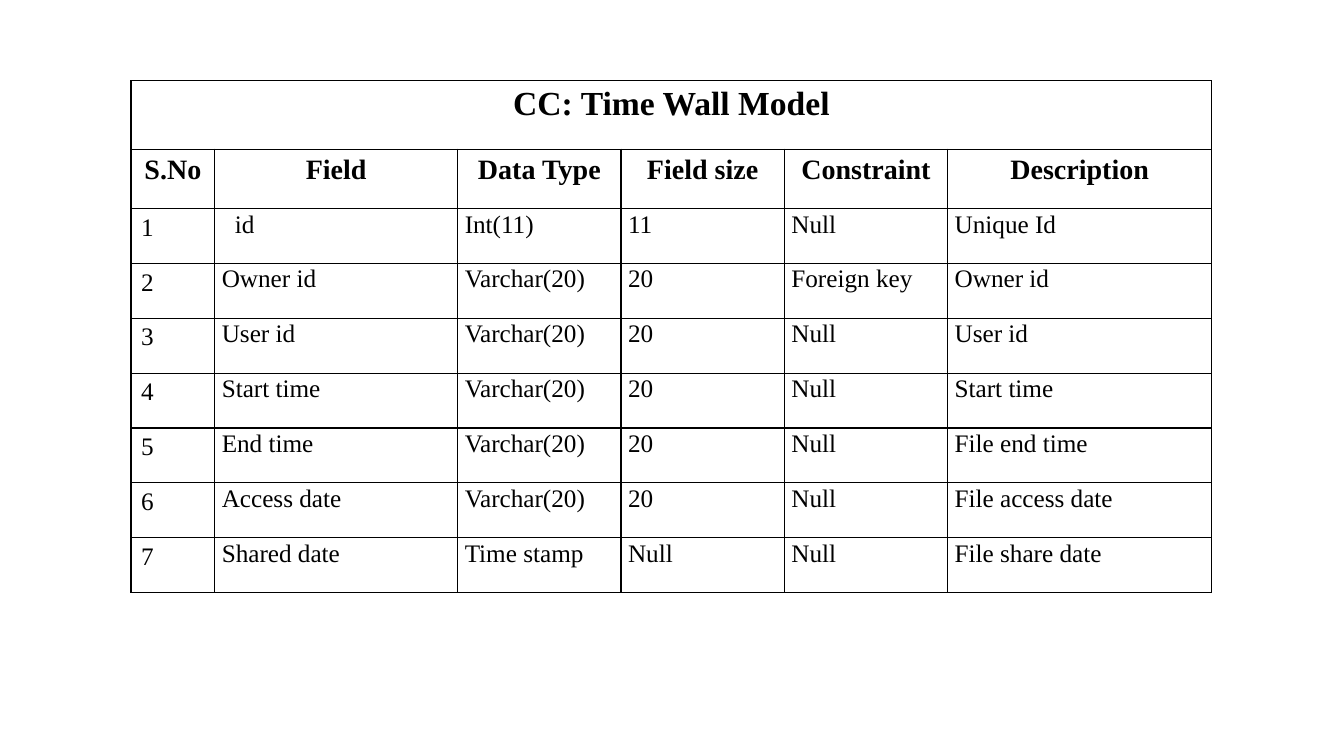
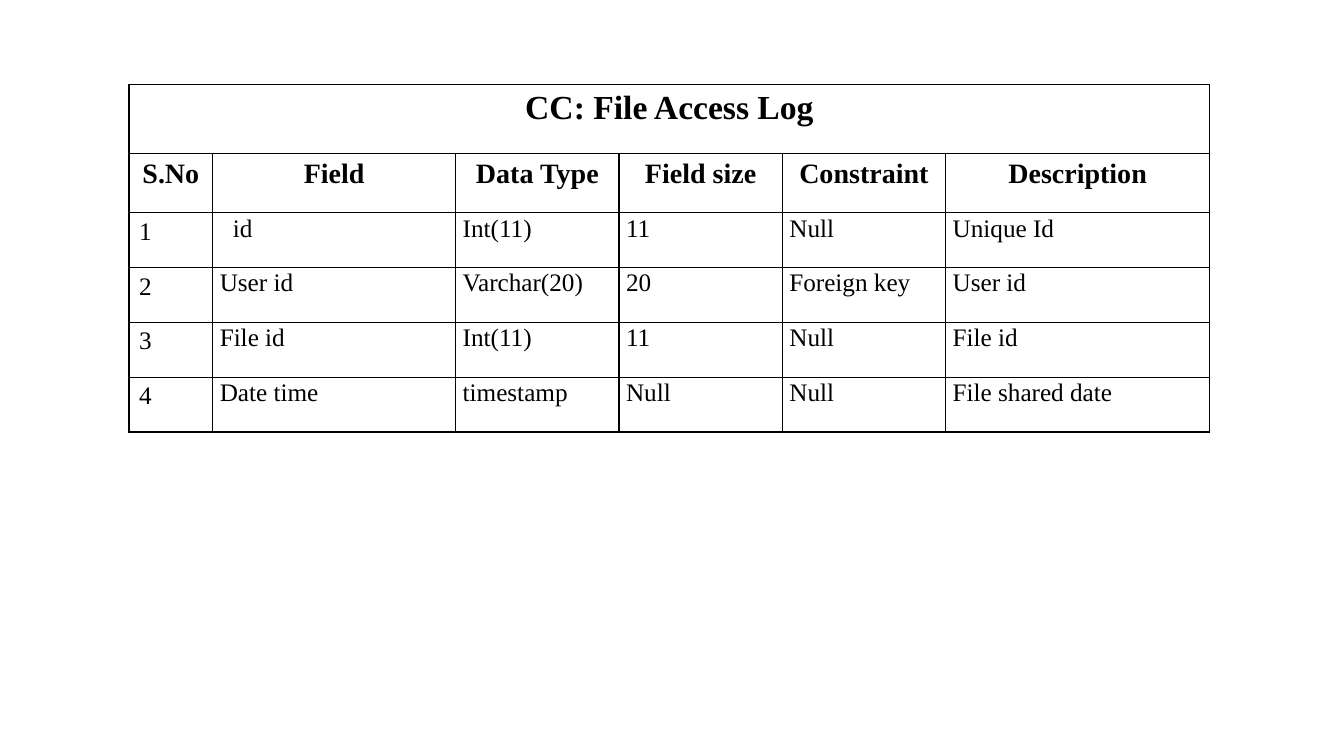
from dataclasses import dataclass

from lxml.etree import SubElement
from pptx import Presentation
from pptx.dml.color import RGBColor
from pptx.enum.text import PP_ALIGN as Align
from pptx.oxml.ns import qn
from pptx.slide import Slide
from pptx.table import _Cell as Cell
from pptx.util import Inches, Pt

FONT = "Times New Roman"
INK = "000000"
WIDTHS = (0.83, 2.41, 1.62, 1.62, 1.62, 2.62)
HEADS = ("S.No", "Field", "Data Type", "Field size", "Constraint", "Description")
TITLE_H = Inches(0.68)
HEAD_H = Inches(0.59)
BODY_H = Inches(3.81) // 7
PAD = 0.07
INDENT = 0.13


@dataclass(frozen=True)
class Field:
    name: str
    kind: str
    size: str
    limit: str
    note: str
    indent: float = 0


@dataclass(frozen=True)
class Model:
    title: str
    left: float
    top: float
    fields: tuple[Field, ...]


ID = Field("id", "Int(11)", "11", "Null", "Unique Id", INDENT)

MODELS = (
    Model("CC: Time Wall Model", 1.3, 0.8, (
        ID,
        Field("Owner id", "Varchar(20)", "20", "Foreign key", "Owner id"),
        Field("User id", "Varchar(20)", "20", "Null", "User id"),
        Field("Start time", "Varchar(20)", "20", "Null", "Start time"),
        Field("End time", "Varchar(20)", "20", "Null", "File end time"),
        Field("Access date", "Varchar(20)", "20", "Null", "File access date"),
        Field("Shared date", "Time stamp", "Null", "Null", "File share date"),
    )),
    Model("CC: File Access Log", 1.28, 0.84, (
        ID,
        Field("User id", "Varchar(20)", "20", "Foreign key", "User id"),
        Field("File id", "Int(11)", "11", "Null", "File id"),
        Field("Date time", "timestamp", "Null", "Null", "File shared date"),
    )),
)


def color(code: str) -> RGBColor:
    return RGBColor.from_string(code)


def frame(cell: Cell) -> None:
    props = cell._tc.get_or_add_tcPr()
    for side in ("lnL", "lnR", "lnT", "lnB"):
        line = SubElement(props, qn(f"a:{side}"), w=str(Pt(1)))
        fill = SubElement(line, qn("a:solidFill"))
        SubElement(fill, qn("a:srgbClr"), val=INK)
    cell.fill.background()


def write(cell: Cell, text: str, size: int, head: bool = False) -> None:
    cell.text = text
    para = cell.text_frame.paragraphs[0]
    para.alignment = Align.CENTER if head else Align.LEFT
    font = para.font
    font.name = FONT
    font.size = Pt(size)
    font.bold = head
    font.color.rgb = color(INK)


def tighten(cell: Cell, indent: float) -> None:
    cell.margin_left = Inches(PAD + indent)
    cell.margin_right = Inches(PAD)
    cell.margin_top = cell.margin_bottom = 0
    cell.text_frame.paragraphs[0].line_spacing = 1.07


def draw(slide: Slide, model: Model) -> None:
    heights = [TITLE_H, HEAD_H] + [BODY_H] * len(model.fields)
    table = slide.shapes.add_table(
        len(heights), len(WIDTHS), Inches(model.left), Inches(model.top),
        Inches(sum(WIDTHS)), sum(heights)).table
    table.first_row = table.horz_banding = False
    for col, width in zip(table.columns, WIDTHS):
        col.width = Inches(width)
    for row, height in zip(table.rows, heights):
        row.height = height
    for cell in table.iter_cells():
        frame(cell)

    title = table.cell(0, 0)
    title.merge(table.cell(0, len(WIDTHS) - 1))
    write(title, model.title, 24, True)
    for col, text in enumerate(HEADS):
        write(table.cell(1, col), text, 20, True)
    for num, item in enumerate(model.fields, 1):
        row = num + 1
        write(table.cell(row, 0), str(num), 18)
        texts = (item.name, item.kind, item.size, item.limit, item.note)
        for col, text in enumerate(texts, 1):
            cell = table.cell(row, col)
            write(cell, text, 18)
            tighten(cell, item.indent if col == 1 else 0)


def main() -> None:
    deck = Presentation()
    deck.slide_width = Inches(13.33)
    deck.slide_height = Inches(7.5)
    blank = deck.slide_layouts[6]
    for model in MODELS:
        draw(deck.slides.add_slide(blank), model)
    deck.save("out.pptx")


if __name__ == "__main__":
    main()
